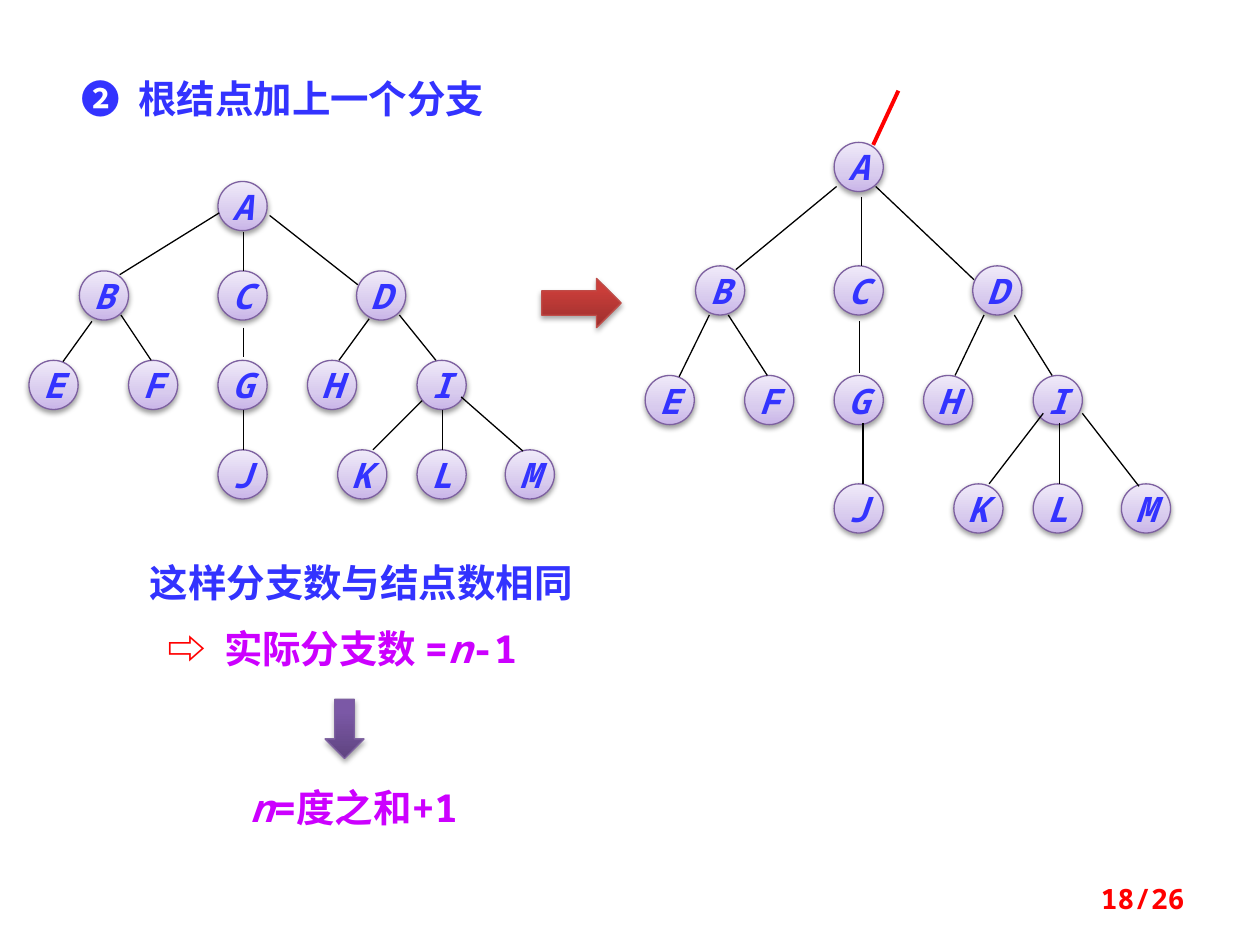
from copy import deepcopy

from lxml import etree
from pptx import Presentation
from pptx.dml.color import RGBColor
from pptx.enum import shapes as es, text as et
from pptx.oxml.ns import qn
from pptx.util import Inches, Pt

FONT = "Noto Sans Mono"
HEX = {"blue": "3333FF", "pink": "CC00FF", "red": "FF0000",
       "black": "000000", "rim": "7D60A0", "brick": "BF4C48"}
LILAC = [(0, "C9B5E8"), (.35, "D8CBEE"), (1, "F0EAF9")]
PLUM = [(0, "5F4480"), (.8, "7B58A6"), (1, "7C57A8")]
RUST = [(0, "9C2F2D"), (.8, "CB3E3A"), (1, "CE3B37")]

SIZE = .39
NODES = [
    [("A", 1.73)],
    [("B", .63), ("C", 1.73), ("D", 2.83)],
    [("E", .23), ("F", 1.02), ("G", 1.73), ("H", 2.44), ("I", 3.31)],
    [("J", 1.73), ("K", 2.68), ("L", 3.31), ("M", 4.01)],
]
TREES = [
    {"dx": 0, "rows": [1.44, 2.15, 2.86, 3.57], "edges": [
        (1.74, 1.69, .95, 2.18), (1.93, 1.84, 1.93, 2.15), (2.14, 1.71, 2.84, 2.26),
        (.73, 2.55, .5, 2.87), (.96, 2.5, 1.2, 2.86), (1.93, 2.6, 1.93, 2.83),
        (2.93, 2.53, 2.69, 2.86), (3.17, 2.5, 3.46, 2.86), (1.93, 3.25, 1.93, 3.57),
        (3.35, 3.18, 2.96, 3.57), (3.51, 3.25, 3.51, 3.57), (3.66, 3.15, 4.15, 3.58)]},
    {"dx": 4.89, "rows": [1.13, 2.11, 2.98, 3.84], "edges": [
        (6.64, 1.48, 5.84, 2.14), (6.84, 1.56, 6.84, 2.11), (6.95, 1.48, 7.73, 2.22),
        (5.63, 2.5, 5.39, 2.99), (5.78, 2.5, 6.09, 2.98), (6.82, 2.55, 6.82, 2.96),
        (7.81, 2.5, 7.58, 2.98), (8.05, 2.5, 8.35, 2.98), (6.85, 3.36, 6.85, 3.84),
        (8.28, 3.28, 7.85, 3.84), (8.41, 3.36, 8.41, 3.84), (8.59, 3.28, 9.04, 3.86)]},
]
BRANCH = (7.13, .72, 6.93, 1.15)

ARROWS = [
    ("DOWN_ARROW", (2.58, 5.55, .31, .47), PLUM, "rim"),
    ("RIGHT_ARROW", (4.3, 2.21, .63, .39), RUST, "brick"),
]
TEXTS = [
    {"box": (.55, .55, 3.75, .47), "paras": [
        {"hang": .45, "runs": [("❷\t根结点加上一个分支", "blue", False)]}]},
    {"box": (1.09, 4.39, 4.38, 1.03), "paras": [
        {"runs": [("这样分支数与结点数相同", "blue", False)]},
        {"left": .59, "hang": .45, "before": 11, "runs": [
            ("⇨\t", "red", False), ("实际分支数 =", "pink", False),
            ("n", "pink", True), ("-1", "pink", False)]}]},
    {"box": (1.48, 6.17, 2.66, .47), "align": "CENTER", "paras": [
        {"runs": [("n", "pink", True), ("=度之和+1", "pink", False)]}]},
    {"box": (7.17, 6.95, 2.33, .4), "align": "RIGHT", "size": 16, "paras": [
        {"runs": [("18/26", "red", False)]}]},
]


def rgb(name):
    return RGBColor.from_string(HEX.get(name, name))


def style(font, size, name, italic):
    font.name, font.size, font.bold = FONT, Pt(size), True
    font.italic = italic
    font.color.rgb = rgb(name)


def glossy(where, kind, box, stops, rim, alpha, dist):
    shape = where.add_shape(es.MSO_SHAPE[kind], *map(Inches, box))
    shape.shadow.inherit = False
    shape.fill.gradient()
    shape.fill.gradient_angle = 90
    props = shape.element.spPr
    ramp = props.find(".//" + qn("a:gsLst"))
    ramp.append(deepcopy(ramp[-1]))
    for stop, (pos, name) in zip(shape.fill.gradient_stops, stops):
        stop.position, stop.color.rgb = pos, rgb(name)
    shape.line.color.rgb, shape.line.width = rgb(rim), Pt(.75)
    shade = etree.SubElement(props.find(qn("a:effectLst")), qn("a:outerShdw"),
                             blurRad=str(Pt(3.1)), dist=str(Pt(dist)),
                             dir="5400000", rotWithShape="0")
    tint = etree.SubElement(shade, qn("a:srgbClr"), val=HEX["black"])
    etree.SubElement(tint, qn("a:alpha"), val=str(alpha * 1000))
    return shape


def edge(where, ends, name="black", width=.75):
    line = where.add_connector(es.MSO_CONNECTOR.STRAIGHT, *map(Inches, ends))
    line.line.color.rgb, line.line.width = rgb(name), Pt(width)
    etree.SubElement(line.element.spPr, qn("a:effectLst"))


def node(where, label, left, top):
    shape = glossy(where, "OVAL", (left, top, SIZE, SIZE), LILAC, "rim", 38, 1.6)
    frame = shape.text_frame
    frame.word_wrap = False
    frame.vertical_anchor = et.MSO_ANCHOR.MIDDLE
    para = frame.paragraphs[0]
    para.text, para.alignment = label, et.PP_ALIGN.CENTER
    style(para.font, 20, "blue", True)


def tree(where, spec_):
    for top, row in zip(spec_["rows"], NODES):
        for label, left in row:
            node(where, label, left + spec_["dx"], top)
    for ends in spec_["edges"]:
        edge(where, ends)


def write(where, item):
    frame = where.add_textbox(*map(Inches, item["box"])).text_frame
    frame.word_wrap = True
    frame.auto_size = et.MSO_AUTO_SIZE.SHAPE_TO_FIT_TEXT
    for i, part in enumerate(item["paras"]):
        para = frame.add_paragraph() if i else frame.paragraphs[0]
        para.alignment = et.PP_ALIGN[item.get("align", "LEFT")]
        if "before" in part:
            para.space_before = Pt(part["before"])
        if "hang" in part:
            props = para._p.get_or_add_pPr()
            props.set("marL", str(Inches(part.get("left", part["hang"]))))
            props.set("indent", str(-Inches(part["hang"])))
        for words, name, italic in part["runs"]:
            run = para.add_run()
            run.text = words
            style(run.font, item.get("size", 22), name, italic)


def main():
    deck = Presentation()
    deck.slide_width, deck.slide_height = Inches(10), Inches(7.5)
    page = deck.slides.add_slide(deck.slide_layouts[6]).shapes
    for item in TREES:
        group = page.add_group_shape().shapes
        tree(group, item)
    edge(group, BRANCH, "red", 2.25)
    for kind, box, stops, rim in ARROWS:
        glossy(page, kind, box, stops, rim, 35, 1.8)
    for item in TEXTS:
        write(page, item)
    deck.save("out.pptx")


if __name__ == "__main__":
    main()
